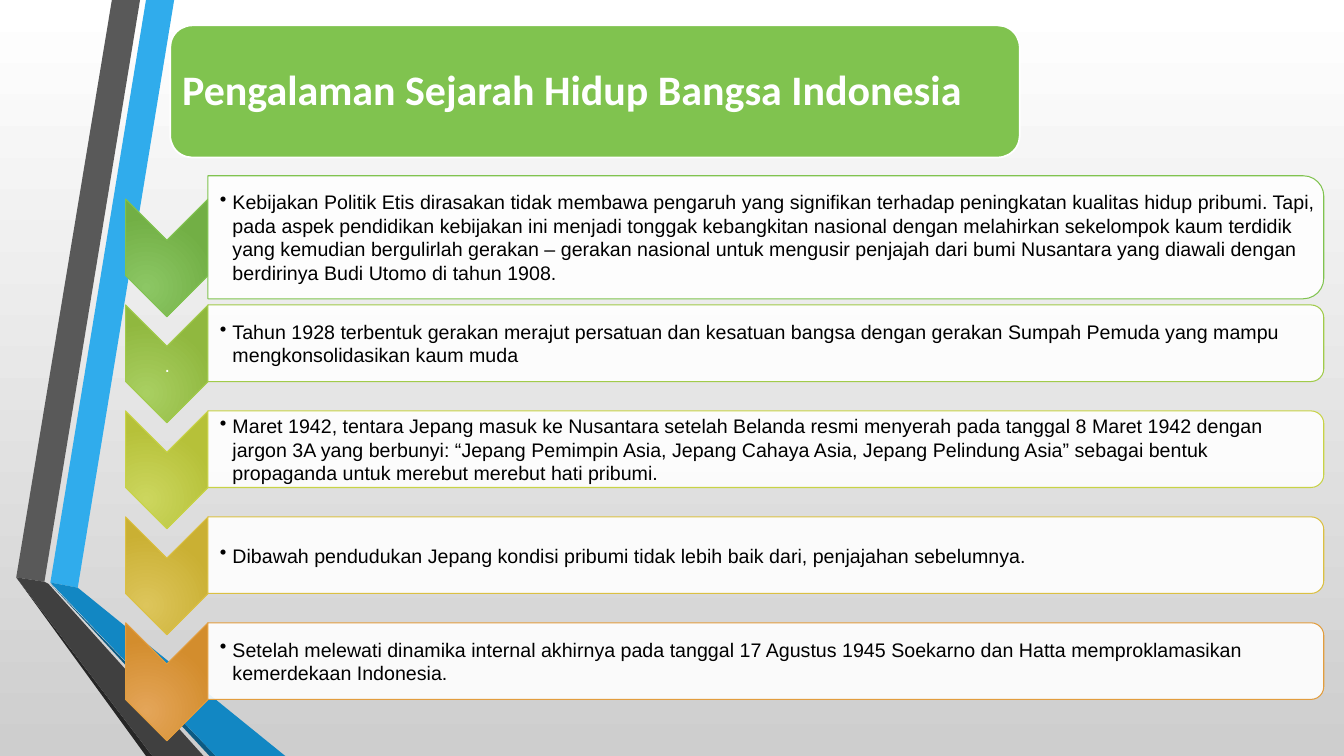
"""Build the slide on the historical experience of the Indonesian nation."""
import pptx
import pptx.dml.color
import pptx.enum.shapes
import pptx.enum.text
import pptx.oxml
import pptx.util
from pptx.util import Cm

SHAPES = pptx.enum.shapes.MSO_SHAPE
ALIGN = pptx.enum.text.PP_ALIGN
NS = 'xmlns:a="http://schemas.openxmlformats.org/drawingml/2006/main"'


def colour(hex_code):
    return pptx.dml.color.RGBColor.from_string(hex_code)


def write(box, text, size, font, hex_code, margin):
    """Fill a box with one run of text and return its paragraph."""
    frame = box.text_frame
    frame.word_wrap = True
    frame.auto_size = pptx.enum.text.MSO_AUTO_SIZE.NONE
    frame.vertical_anchor = pptx.enum.text.MSO_ANCHOR.MIDDLE
    frame.margin_left = frame.margin_right = margin
    frame.margin_top = frame.margin_bottom = margin
    para = frame.paragraphs[0]
    span = para.add_run()
    span.text = text
    span.font.size = pptx.util.Pt(size)
    span.font.name = font
    span.font.color.rgb = colour(hex_code)
    return para


deck = pptx.Presentation()
deck.slide_width, deck.slide_height = Cm(33.87), Cm(19.05)
page = deck.slides.add_slide(deck.slide_layouts[5])

backdrop = page.background.fill
backdrop.gradient()
backdrop.gradient_angle = 270
for stop, shade in zip(backdrop.gradient_stops, ("FFFFFF", "CECECE")):
    stop.color.rgb = colour(shade)

ribbons = [
    ("30ACEC", [(1.27, 14.68), (1.96, 14.81), (4.39, 0), (3.68, 0)]),
    ("595959", [(3.53, 0), (2.82, 0), (0.41, 14.55), (1.12, 14.66)]),
    ("262626", [(0.41, 14.55), (3.68, 19.05), (3.84, 19.05)]),
    ("0C5A82", [(1.27, 14.71), (5.28, 19.05), (5.44, 19.05)]),
    ("1287C3", [(1.27, 14.68), (5.44, 19.05), (7.19, 19.05), (1.96, 14.81)]),
    ("404040", [(5.13, 19.05), (1.22, 14.71), (1.12, 14.66), (0.41, 14.55), (3.84, 19.05)]),
]
for shade, corners in ribbons:
    points = [(Cm(x), Cm(y)) for x, y in corners]
    builder = page.shapes.build_freeform(*points[0])
    builder.add_line_segments(points[1:], close=True)
    ribbon = builder.convert_to_shape()
    ribbon.shadow.inherit = False
    ribbon.fill.solid()
    ribbon.fill.fore_color.rgb = colour(shade)
    ribbon.line.fill.background()

title_area = Cm(4.29), Cm(0.64), Cm(21.41), Cm(3.33)
banner = page.shapes.add_shape(SHAPES.ROUNDED_RECTANGLE, *title_area)
banner.shadow.inherit = False
banner.fill.solid()
banner.fill.fore_color.rgb = colour("80C34F")
banner.line.color.rgb = colour("FFFFFF")
banner.line.width = pptx.util.Pt(1.25)

title = page.shapes.title
title.left, title.top, title.width, title.height = title_area
title.element.getparent().append(title.element)
para = write(title, "Pengalaman Sejarah Hidup Bangsa Indonesia", 30, "Calibri", "FFFFFF", Cm(0.3))
para.alignment = ALIGN.LEFT
para.line_spacing = 0.9
para.runs[0].font.bold = True

events = [
    ("80C34F", "8CC764", "72AF45", 3.1, "Kebijakan Politik Etis dirasakan tidak membawa pengaruh yang signifikan terhadap peningkatan kualitas hidup pribumi. Tapi, pada aspek pendidikan kebijakan ini menjadi tonggak kebangkitan nasional dengan melahirkan sekelompok kaum terdidik yang kemudian bergulirlah gerakan – gerakan nasional untuk mengusir penjajah dari bumi Nusantara yang diawali dengan berdirinya Budi Utomo di tahun 1908."),
    ("A1CB4A", "A9CF61", "90B83F", 1.93, "Tahun 1928 terbentuk gerakan merajut persatuan dan kesatuan bangsa dengan gerakan Sumpah Pemuda yang mampu mengkonsolidasikan kaum muda"),
    ("C8D346", "CCD65E", "B6C139", 1.93, "Maret 1942, tentara Jepang masuk ke Nusantara setelah Belanda resmi menyerah pada tanggal 8 Maret 1942 dengan jargon 3A yang berbunyi: “Jepang Pemimpin Asia, Jepang Cahaya Asia, Jepang Pelindung Asia” sebagai bentuk propaganda untuk merebut merebut hati pribumi."),
    ("DBC042", "DDC55B", "CAB033", 1.93, "Dibawah pendudukan Jepang kondisi pribumi tidak lebih baik dari, penjajahan sebelumnya."),
    ("E29D3E", "E4A559", "D38D2D", 1.93, "Setelah melewati dinamika internal akhirnya pada tanggal 17 Agustus 1945 Soekarno dan Hatta memproklamasikan kemerdekaan Indonesia."),
]
PITCH = 2.67
PANEL_LENGTH = 28.12
for row, (edge, light, dark, height, text) in enumerate(events):
    middle = 5.98 + row * PITCH
    chevron = page.shapes.add_shape(
        SHAPES.CHEVRON, Cm(2.72), Cm(5.46 + row * PITCH), Cm(2.97), Cm(2.08))
    chevron.fill.gradient()
    for stop, shade in zip(chevron.fill.gradient_stops, (light, dark)):
        stop.color.rgb = colour(shade)
    linear = chevron.element.spPr.find(".//{*}lin")
    linear.getparent().replace(linear, pptx.oxml.parse_xml(
        f'<a:path {NS} path="circle">'
        '<a:fillToRect l="50000" t="100000" r="100000" b="50000"/></a:path>'))

    panel = page.shapes.add_shape(
        SHAPES.ROUND_2_SAME_RECTANGLE, Cm(19.3 - height / 2),
        Cm(middle - PANEL_LENGTH / 2), Cm(height), Cm(PANEL_LENGTH))
    panel.fill.solid()
    panel.fill.fore_color.rgb = colour("FFFFFF")
    panel.element.spPr.find(".//{*}srgbClr").append(
        pptx.oxml.parse_xml(f'<a:alpha {NS} val="90000"/>'))

    for shape in (chevron, panel):
        shape.rotation = 90
        shape.shadow.inherit = False
        shape.line.color.rgb = colour(edge)
        shape.line.width = pptx.util.Pt(0.75)

    text_height = height - 0.2
    box = page.shapes.add_textbox(
        Cm(5.26), Cm(middle - text_height / 2), Cm(28), Cm(text_height))
    para = write(box, text, 14, "Arial", "000000", Cm(0.03))
    box.text_frame.margin_left = Cm(0.28)
    properties = para._p.get_or_add_pPr()
    properties.set("marL", str(Cm(0.32)))
    properties.set("indent", str(-Cm(0.32)))
    properties.append(pptx.oxml.parse_xml(f'<a:buChar {NS} char="•"/>'))

dot = page.shapes.add_textbox(Cm(3.18), Cm(8.74), Cm(2.08), Cm(0.89))
write(dot, ".", 14, "Arial", "FFFFFF", Cm(0.03)).alignment = ALIGN.CENTER

deck.save("out.pptx")
